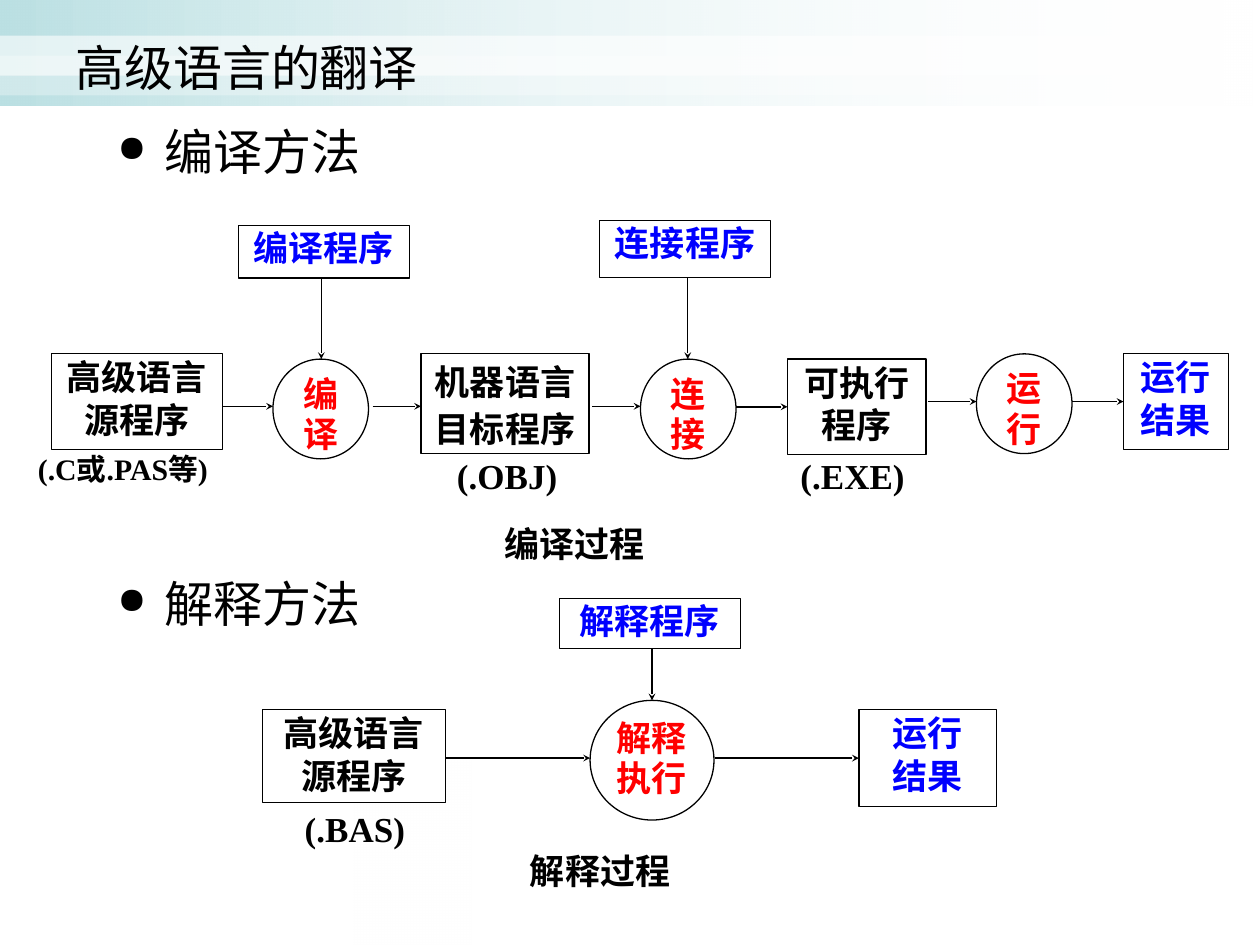
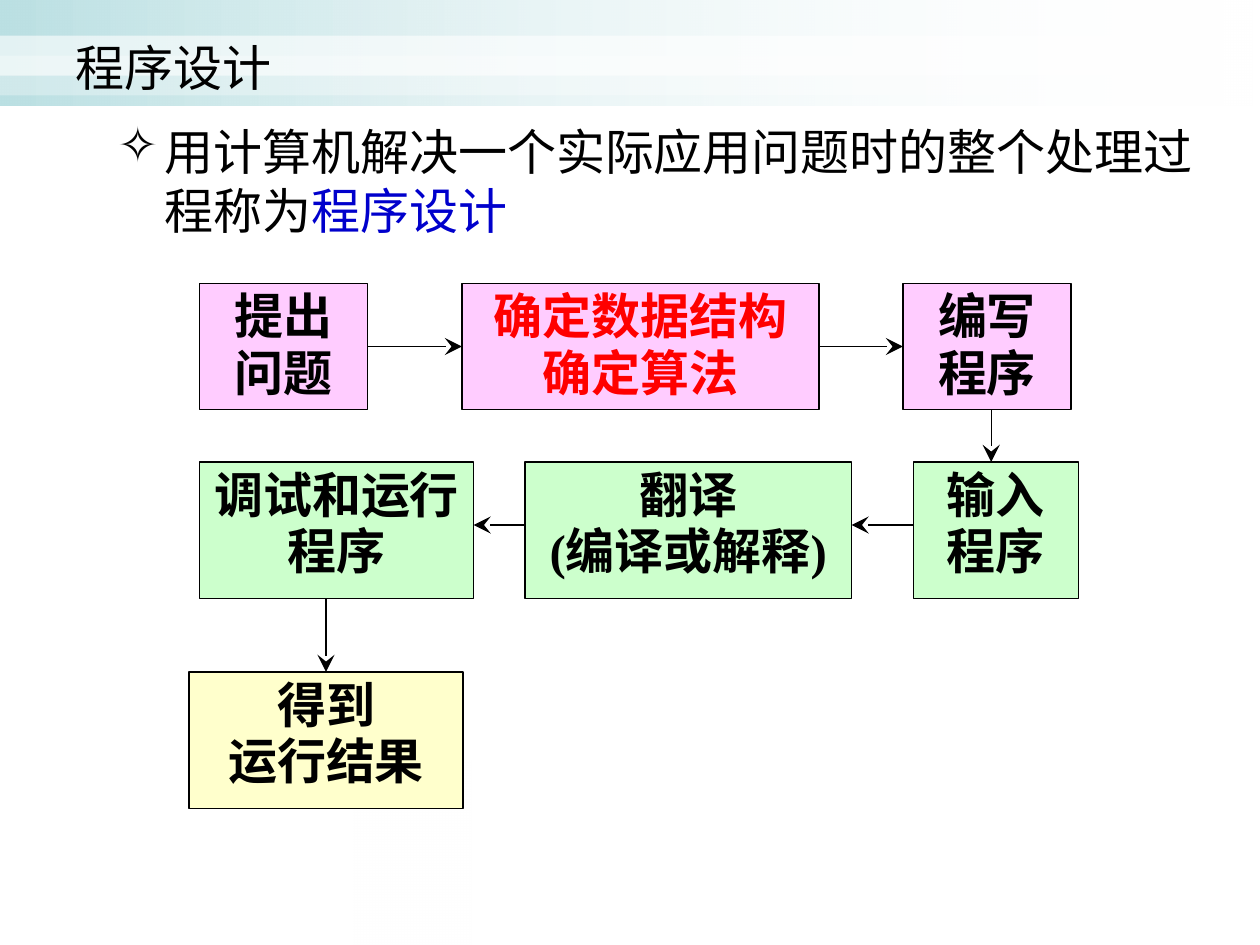
import lxml.etree
import pptx
import pptx.dml.color
import pptx.enum.shapes
import pptx.enum.text
import pptx.oxml.ns
import pptx.util

BLACK = pptx.dml.color.RGBColor(0x00, 0x00, 0x00)
WHITE = pptx.dml.color.RGBColor(0xFF, 0xFF, 0xFF)
TEAL = pptx.dml.color.RGBColor(0xBB, 0xE0, 0xE3)
BLUE = pptx.dml.color.RGBColor(0x00, 0x00, 0xFF)
DEEP_BLUE = pptx.dml.color.RGBColor(0x00, 0x00, 0xCC)
RED = pptx.dml.color.RGBColor(0xFF, 0x00, 0x00)
PINK = pptx.dml.color.RGBColor(0xFF, 0xCC, 0xFF)
GREEN = pptx.dml.color.RGBColor(0xCC, 0xFF, 0xCC)
YELLOW = pptx.dml.color.RGBColor(0xFF, 0xFF, 0xCC)

RECTANGLE = pptx.enum.shapes.MSO_SHAPE.RECTANGLE
OVAL = pptx.enum.shapes.MSO_SHAPE.OVAL
CENTER = pptx.enum.text.PP_ALIGN.CENTER
JUSTIFY = pptx.enum.text.PP_ALIGN.JUSTIFY
TOP, LEFT, BOTTOM, RIGHT = range(4)
qualified = pptx.oxml.ns.qn

presentation = pptx.Presentation()
presentation.slide_width = pptx.util.Inches(10)
presentation.slide_height = pptx.util.Inches(7.5)
CELL = presentation.slide_width // 120


def add_label(slide, kind, area, lines, size, color, spacing=1.0,
              margins=(1.2, 0.12), fill=WHITE, alignment=CENTER):
    place = [round(length * CELL) for length in area]
    if kind is None:
        shape = slide.shapes.add_textbox(*place)
    else:
        shape = slide.shapes.add_shape(kind, *place)
        shape.shadow.inherit = False
        shape.fill.solid()
        shape.fill.fore_color.rgb = fill
        shape.line.color.rgb = BLACK
        shape.line.width = pptx.util.Pt(0.75)
    frame = shape.text_frame
    frame.word_wrap = True
    frame.vertical_anchor = pptx.enum.text.MSO_ANCHOR.TOP
    frame.margin_left = frame.margin_right = round(margins[0] * CELL)
    frame.margin_top = frame.margin_bottom = round(margins[1] * CELL)
    frame.text = lines
    for paragraph in frame.paragraphs:
        paragraph.alignment = alignment
        paragraph.line_spacing = spacing
        paragraph.font.name = "Times New Roman"
        paragraph.font.size = pptx.util.Pt(size)
        paragraph.font.bold = True
        paragraph.font.color.rgb = color
    return shape


def add_arrow(slide, boxes, start, end, head):
    connector = slide.shapes.add_connector(
        pptx.enum.shapes.MSO_CONNECTOR.STRAIGHT, 0, 0, 0, 0)
    if start[0] in boxes:
        connector.begin_connect(boxes[start[0]], start[1])
    else:
        connector.begin_x, connector.begin_y = [round(length * CELL) for length in start]
    if end[0] in boxes:
        connector.end_connect(boxes[end[0]], end[1])
    else:
        connector.end_x, connector.end_y = [round(length * CELL) for length in end]
    connector.line.color.rgb = BLACK
    connector.line.width = pptx.util.Pt(0.75)
    lxml.etree.SubElement(connector.line._get_or_add_ln(), qualified("a:tailEnd"),
                          type="stealth", w=head, len=head)
    lxml.etree.SubElement(connector._element.spPr, qualified("a:effectLst"))


bands = [
    ((0, 0, 120, 10.1), [(TEAL, 100), (WHITE, 0)]),
    ((0, 3.4, 120, 3.8), [(WHITE, 60)]),
    ((0, 5.3, 120, 3.8), [(WHITE, 31)]),
    ((33.6, 72.4, 11.3, 17.6), [(WHITE, 0), (WHITE, 100)]),
]
pages = [
    ("高级语言的翻译", "Arial", [
        ((10, 11, 105, 12), "●", 75, [("编译方法", BLACK)]),
        ((10, 54, 105, 12), "●", 75, [("解释方法", BLACK)]),
    ]),
    ("程序设计", "Noto Sans CJK SC", [
        ((10, 11, 106.7, 15), "✧", 100,
         [("用计算机解决一个实际应用问题时的整个处理过程称为", BLACK),
          ("程序设计", DEEP_BLUE)]),
    ]),
]
slides = []
for title, title_font, bullets in pages:
    slide = presentation.slides.add_slide(presentation.slide_layouts[6])
    slides.append(slide)
    for area, stops in bands:
        band = slide.shapes.add_shape(RECTANGLE, *[round(length * CELL) for length in area])
        band.shadow.inherit = False
        band.line.fill.background()
        if len(stops) == 1:
            band.fill.solid()
            band.fill.fore_color.rgb = stops[0][0]
        else:
            band.fill.gradient()
            band.fill.gradient_angle = 0
            for stop, (color, opacity) in zip(band.fill.gradient_stops, stops):
                stop.color.rgb = color
        colors = list(band._element.spPr.iter(qualified("a:srgbClr")))
        for element, (color, opacity) in zip(colors, stops):
            lxml.etree.SubElement(element, qualified("a:alpha"), val=str(opacity * 1000))

    title_box = slide.shapes.add_textbox(
        *[round(length * CELL) for length in (6, 1.6, 108, 9.5)])
    title_box.text_frame.word_wrap = True
    title_box.text_frame.vertical_anchor = pptx.enum.text.MSO_ANCHOR.MIDDLE
    title_box.text_frame.text = title
    paragraph = title_box.text_frame.paragraphs[0]
    paragraph.font.name = title_font
    paragraph.font.size = pptx.util.Pt(28)
    paragraph.font.color.rgb = BLACK

    for area, mark, percent, runs in bullets:
        bullet_box = slide.shapes.add_textbox(*[round(length * CELL) for length in area])
        bullet_box.text_frame.word_wrap = True
        paragraph = bullet_box.text_frame.paragraphs[0]
        properties = paragraph._p.get_or_add_pPr()
        properties.set("marL", str(round(4.5 * CELL)))
        properties.set("indent", str(round(-4.5 * CELL)))
        bullet_color = lxml.etree.SubElement(properties, qualified("a:buClr"))
        lxml.etree.SubElement(bullet_color, qualified("a:srgbClr"), val=str(BLACK))
        lxml.etree.SubElement(properties, qualified("a:buSzPct"), val=str(percent * 1000))
        lxml.etree.SubElement(properties, qualified("a:buChar"), char=mark)
        paragraph.font.name = "Arial"
        paragraph.font.size = pptx.util.Pt(28)
        for text, color in runs:
            run = paragraph.add_run()
            run.text = text
            run.font.color.rgb = color

translation, design = slides

translation_boxes = {}
for name, area, lines, color, spacing in [
    ("compiler", (22.7, 21.5, 16.3, 5), "编译程序", BLUE, 1.0),
    ("linker", (57.1, 21, 16.3, 5.4), "连接程序", BLUE, 1.0),
    ("source", (4.9, 33.7, 16.3, 9.1), "高级语言\n源程序", BLACK, 1.02),
    ("object", (40.1, 33.7, 16, 9.5), "机器语言\n目标程序", BLACK, 1.12),
    ("executable", (75, 34.2, 13.2, 9.1), "可执行\n程序", BLACK, 1.02),
    ("result", (107, 33.7, 10, 9.1), "运行\n结果", BLUE, 1.02),
    ("interpreter", (53.3, 57, 17.2, 4.8), "解释程序", BLUE, 1.0),
    ("script", (25, 67.6, 17.4, 8.8), "高级语言\n源程序", BLACK, 1.02),
    ("output", (81.8, 67.6, 13.1, 9.2), "运行\n结果", BLUE, 1.02),
]:
    translation_boxes[name] = add_label(
        translation, RECTANGLE, area, lines, 20, color, spacing)

for area, step in [
    ((26, 34.2, 9.1, 9.5), "编译"),
    ((61, 34.2, 9.1, 9.5), "连接"),
    ((93, 33.7, 9.1, 9.5), "运行"),
    ((56.2, 66.7, 11.8, 11.4), "解释执行"),
]:
    add_label(translation, OVAL, area, step, 20, RED, 0.96, (0.24, 0.12))

for area, caption, size, spacing, alignment in [
    ((0, 43.2, 23.4, 5.4), "(.C或.PAS等)", 17, 0.9, CENTER),
    ((40.7, 43.2, 15.2, 5.4), "(.OBJ)", 20, 1.0, CENTER),
    ((73.6, 43.2, 15.2, 5.4), "(.EXE)", 20, 1.0, CENTER),
    ((25.8, 76.8, 16, 5.3), "(.BAS)", 20, 1.0, CENTER),
    ((46.9, 49.6, 25.8, 5.4), "编译过程", 20, 1.0, JUSTIFY),
    ((49.3, 80.8, 27.1, 5.3), "解释过程", 20, 1.0, JUSTIFY),
]:
    add_label(translation, None, area, caption, size, BLACK, spacing, alignment=alignment)

for start, end in [
    ((21.2, 38.7), (26, 38.7)),
    ((35.5, 38.7), (40.1, 38.7)),
    ((56.4, 38.7), (61, 38.7)),
    ((70.1, 38.75), ("executable", LEFT)),
    ((88.4, 38.25), (93, 38.25)),
    ((102.1, 38.25), ("result", LEFT)),
    ((30.6, 26.4), (30.6, 34.2)),
    ((65.5, 26.4), (65.5, 34.2)),
    ((62.1, 61.8), (62.1, 66.7)),
    ((42.4, 72.2), (56.2, 72.2)),
    ((68.1, 72.2), ("output", LEFT)),
]:
    add_arrow(translation, translation_boxes, start, end, "sm")

design_boxes = {}
for name, area, lines, color, fill, side_margin in [
    ("problem", (19, 27, 16, 12), "提出\n问题", BLACK, PINK, 1.2),
    ("algorithm", (44, 27, 34, 12), "确定数据结构\n确定算法", RED, PINK, 0.24),
    ("writing", (86, 27, 16, 12), "编写\n程序", BLACK, PINK, 1.2),
    ("testing", (19, 44, 26.1, 13), "调试和运行程序", BLACK, GREEN, 0.7),
    ("translating", (50, 44, 31.1, 13), "翻译\n(编译或解释)", BLACK, GREEN, 0.24),
    ("typing", (87, 44, 15.7, 13), "输入\n程序", BLACK, GREEN, 1.2),
    ("result", (18, 64, 26.1, 13), "得到\n运行结果", BLACK, YELLOW, 0.7),
]:
    design_boxes[name] = add_label(
        design, RECTANGLE, area, lines, 28, color, 0.96, (side_margin, 0.6), fill)

for start, end in [
    (("problem", RIGHT), ("algorithm", LEFT)),
    (("algorithm", RIGHT), ("writing", LEFT)),
    ((94.4, 39), (94.4, 44)),
    ((87, 50), (81.1, 50)),
    ((50, 50), (45.1, 50)),
    ((31.05, 57), ("result", TOP)),
]:
    add_arrow(design, design_boxes, start, end, "lg")

presentation.save("out.pptx")
